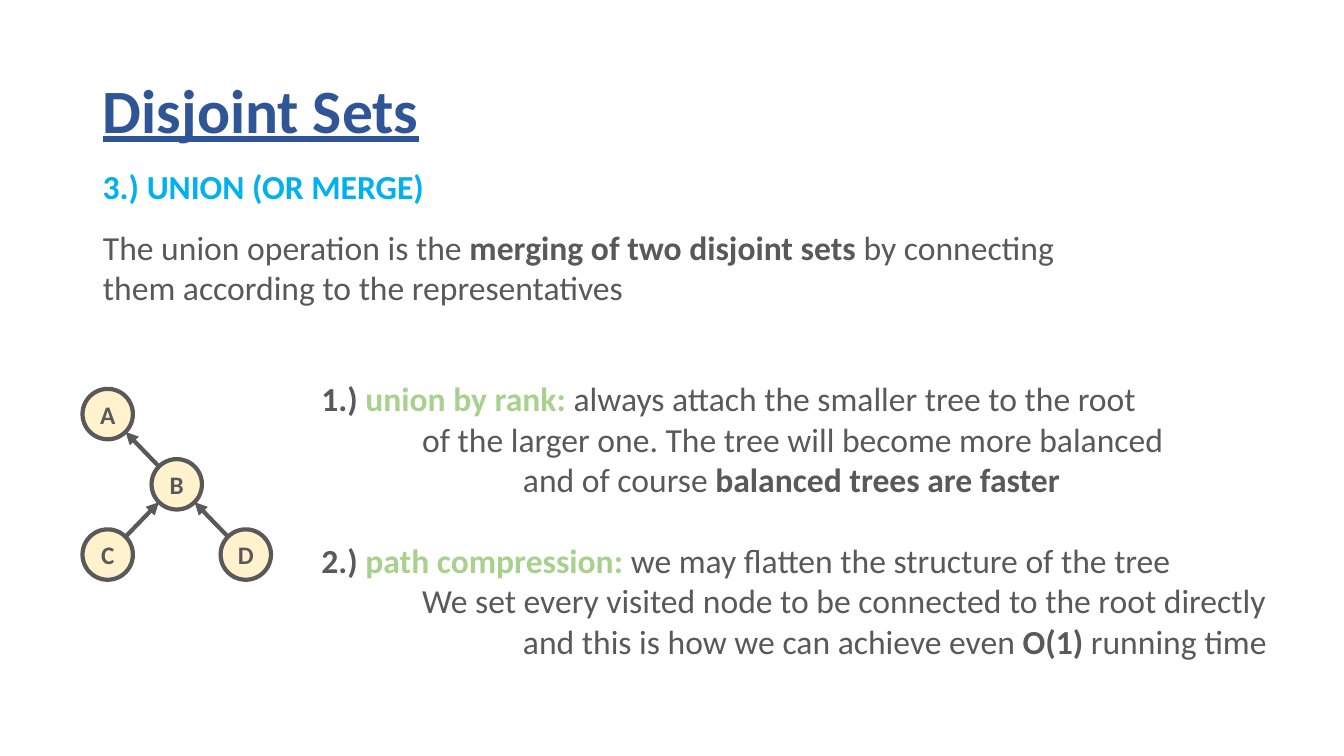
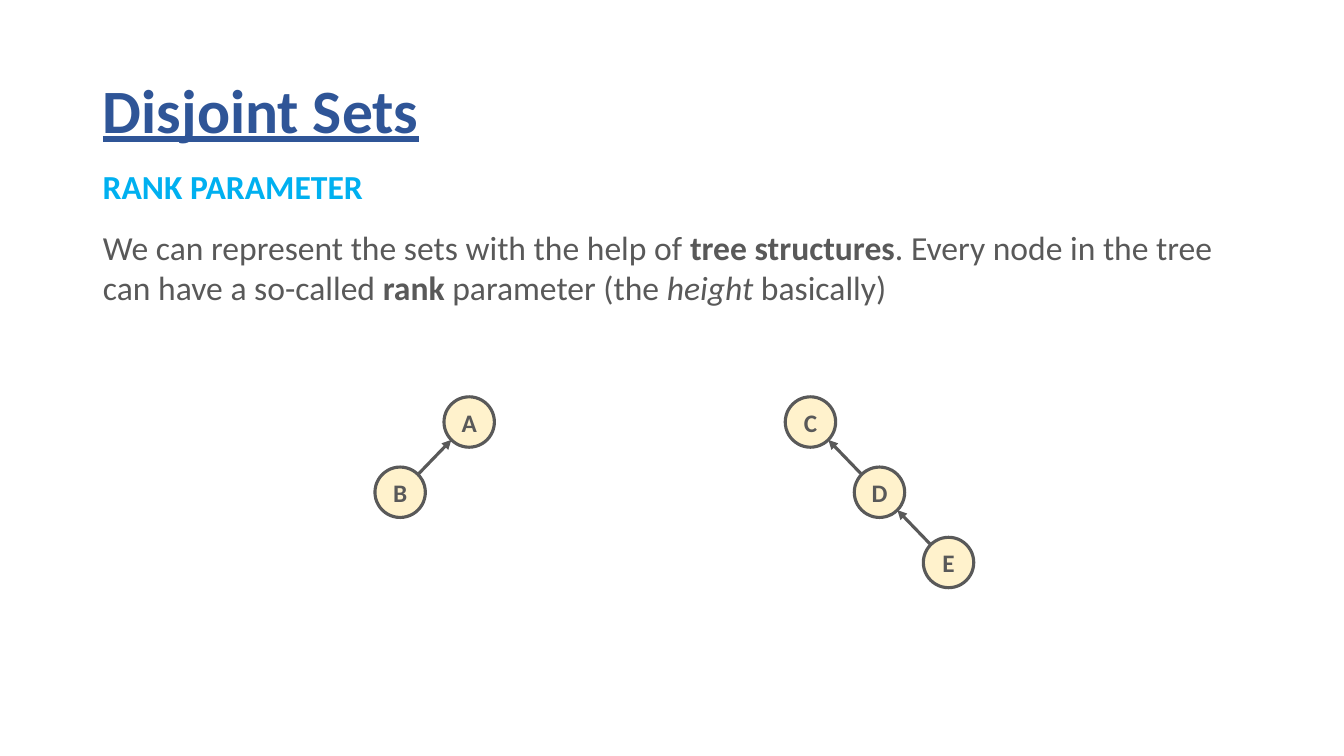
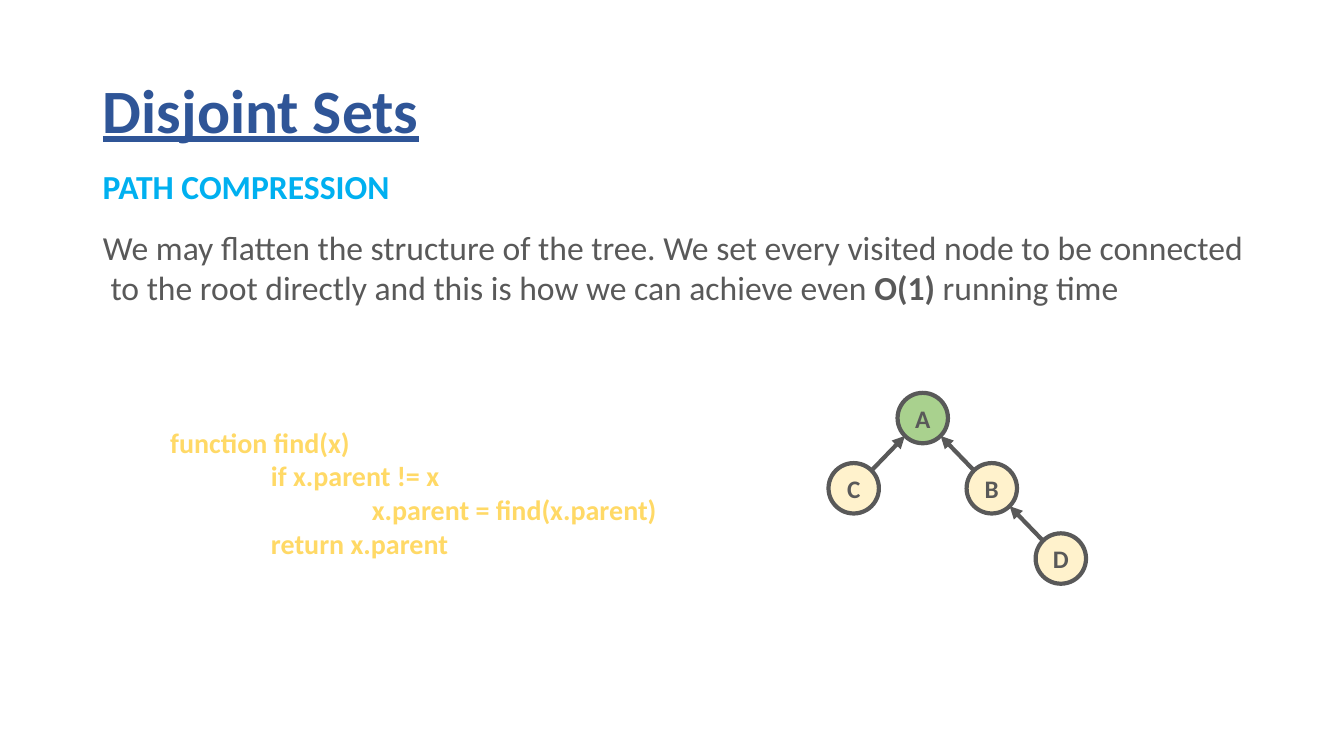
import math

import pptx
import pptx.dml.color
import pptx.enum.shapes
import pptx.enum.text
import pptx.oxml
import pptx.oxml.ns
import pptx.util

Cm = pptx.util.Cm
Pt = pptx.util.Pt

COLORS = {
    "title": "2F5597",
    "heading": "00B0F0",
    "text": "595959",
    "term": "A9D18E",
    "code": "FFD966",
    "node": "FFF2CC",
    "root": "A9D18E",
}
FONT = "Calibri"
LEFT = 2.34                  # left edge of title, heading and body
TAB = 2.54                   # one level of indentation
NODE = 1.27                  # node diameter
STEP_X, STEP_Y = 1.74, 1.77  # distance between tree columns and rows


def rgb(name):
    return pptx.dml.color.RGBColor.from_string(COLORS[name])


def place(sp, left, top, width, height):
    sp.left, sp.top = Cm(left), Cm(top)
    sp.width, sp.height = Cm(width), Cm(height)


def add_run(p, text, size, color="text", bold=False, italic=False, underline=False):
    r = p.add_run()
    r.text = text
    f = r.font
    f.name, f.size = FONT, Pt(size)
    f.bold, f.italic, f.underline = bold, italic, underline
    f.color.rgb = rgb(color)


def fill_text(tf, lines, size=24, **base):
    """Each line is (indent level, runs); a run is (text, style changes)."""
    tf.word_wrap = True
    tf.auto_size = pptx.enum.text.MSO_AUTO_SIZE.NONE
    for i, (level, runs) in enumerate(lines):
        p = tf.paragraphs[0] if i == 0 else tf.add_paragraph()
        pPr = p._p.get_or_add_pPr()
        pPr.set("marL", str(Cm(level * TAB)))
        pPr.set("indent", "0")
        for text, style in runs:
            add_run(p, text, size, **{**base, **style})


def add_text(slide, box, lines, **base):
    sp = slide.shapes.add_textbox(*map(Cm, box))
    fill_text(sp.text_frame, lines, **base)
    return sp.text_frame


def add_topic_slide(prs, heading, body):
    """Slide with the shared title, a heading and an introduction."""
    slide = prs.slides.add_slide(prs.slide_layouts[1])

    title = slide.shapes.title
    place(title, LEFT, 1.01, 29.21, 3.68)
    tf = title.text_frame
    tf.vertical_anchor = pptx.enum.text.MSO_ANCHOR.MIDDLE
    p = tf.paragraphs[0]
    p.alignment = pptx.enum.text.PP_ALIGN.LEFT
    p.line_spacing = 0.9
    add_run(p, "Disjoint Sets", 44, "title", bold=True, underline=True)

    add_text(slide, (LEFT, 4.06, 29.21, 1.28), [(0, [(heading, {})])],
             color="heading", bold=True)

    sp = slide.placeholders[1]
    place(sp, LEFT, 5.59, 30.5, 2.31)
    fill_text(sp.text_frame, [(0, runs) for runs in body])
    for p in sp.text_frame.paragraphs:
        p._p.get_or_add_pPr().append(pptx.oxml.parse_xml(
            "<a:buNone %s/>" % pptx.oxml.ns.nsdecls("a")))
        p.space_before = Pt(0)
    return slide


def add_node(slide, label, cx, cy, fill, weight):
    sp = slide.shapes.add_shape(
        pptx.enum.shapes.MSO_SHAPE.OVAL,
        Cm(cx - NODE / 2), Cm(cy - NODE / 2), Cm(NODE), Cm(NODE))
    sp.shadow.inherit = False
    sp.fill.solid()
    sp.fill.fore_color.rgb = rgb(fill)
    sp.line.color.rgb = rgb("text")
    sp.line.width = Pt(weight)
    tf = sp.text_frame
    tf.margin_left = tf.margin_right = tf.margin_top = tf.margin_bottom = 0
    tf.vertical_anchor = pptx.enum.text.MSO_ANCHOR.MIDDLE
    p = tf.paragraphs[0]
    p.alignment = pptx.enum.text.PP_ALIGN.CENTER
    add_run(p, label, 18, bold=True)


def add_edge(slide, child, parent, weight):
    """Arrow between the facing diagonal points of two nodes."""
    d = NODE / 2 * math.sqrt(0.5)
    dx = math.copysign(d, parent[0] - child[0])
    cn = slide.shapes.add_connector(
        pptx.enum.shapes.MSO_CONNECTOR.STRAIGHT,
        Cm(child[0] + dx), Cm(child[1] - d),
        Cm(parent[0] - dx), Cm(parent[1] + d))
    cn.line.color.rgb = rgb("text")
    cn.line.width = Pt(weight)
    ns = pptx.oxml.ns.nsdecls("a")
    cn.line._get_or_add_ln().append(
        pptx.oxml.parse_xml('<a:tailEnd %s type="triangle"/>' % ns))
    cn._element.spPr.append(pptx.oxml.parse_xml("<a:effectLst %s/>" % ns))


def add_tree(slide, left, top, nodes, edges, weight=3, root=None):
    """Nodes map a label to (column, row); edges are child-parent pairs."""
    centers = {k: (left + NODE / 2 + col * STEP_X, top + NODE / 2 + row * STEP_Y)
               for k, (col, row) in nodes.items()}
    for label, (cx, cy) in centers.items():
        add_node(slide, label, cx, cy, "root" if label == root else "node", weight)
    for child, parent in edges:
        add_edge(slide, centers[child], centers[parent], weight)


def main():
    prs = pptx.Presentation()
    prs.slide_width, prs.slide_height = Cm(33.87), Cm(19.05)
    bold, italic = {"bold": True}, {"italic": True}
    term = {"bold": True, "color": "term"}

    # Union
    slide = add_topic_slide(prs, "3.) UNION (OR MERGE)", [
        [("The union operation is the ", {}),
         ("merging of two disjoint sets ", bold), ("by connecting", {})],
        [("them according to the representatives", {})],
    ])
    tf = add_text(slide, (7.85, 9.41, 25.1, 7.4), [
        (0, [("1.) ", bold), ("union by rank: ", term),
             ("always attach the smaller tree to the root", {})]),
        (1, [("of the larger one. The tree will become more balanced", {})]),
        (2, [("and of course ", {}), ("balanced trees are faster", bold)]),
        (0, [("2.) ", bold), ("path compression:", term),
             (" we may flatten the structure of the tree", {})]),
        (1, [("We set every visited node to be connected to the root directly", {})]),
        (2, [("and this is how we can achieve even ", {}),
             ("O(1)", bold), (" running time", {})]),
    ])
    tf.paragraphs[3].space_before = Pt(29)
    add_tree(slide, 2.08, 9.8,
             {"A": (0, 0), "B": (1, 1), "D": (2, 2), "C": (0, 2)},
             ["CB", "DB", "BA"])

    # Rank parameter
    slide = add_topic_slide(prs, "RANK PARAMETER", [
        [("We can represent the sets with the help of ", {}),
         ("tree structures", bold), (". Every node in the tree", {})],
        [("can have a so-called ", {}), ("rank", bold), (" parameter (the ", {}),
         ("height", italic), (" basically)", {})],
    ])
    add_tree(slide, 19.79, 10, {"C": (0, 0), "D": (1, 1), "E": (2, 2)},
             ["ED", "DC"], weight=2.25)
    add_tree(slide, 9.45, 10, {"A": (1, 0), "B": (0, 1)}, ["BA"], weight=2.25)

    # Path compression
    slide = add_topic_slide(prs, "PATH COMPRESSION", [
        [("We may flatten the structure of the tree. "
          "We set every visited node to be connected", {})],
        [(" to the root directly and this is how we can achieve even ", {}),
         ("O(1)", bold), (" running time", {})],
    ])
    add_text(slide, (4.04, 10.59, 14, 3.68), [
        (0, [("function find(x)", {})]),
        (1, [("if x.parent != x", {})]),
        (2, [("x.parent = find(x.parent)", {})]),
        (1, [("return x.parent", {})]),
    ], size=20, color="code", bold=True)
    add_tree(slide, 20.88, 9.9,
             {"A": (1, 0), "B": (2, 1), "D": (3, 2), "C": (0, 1)},
             ["CA", "DB", "BA"], root="A")

    prs.save("out.pptx")


if __name__ == "__main__":
    main()
